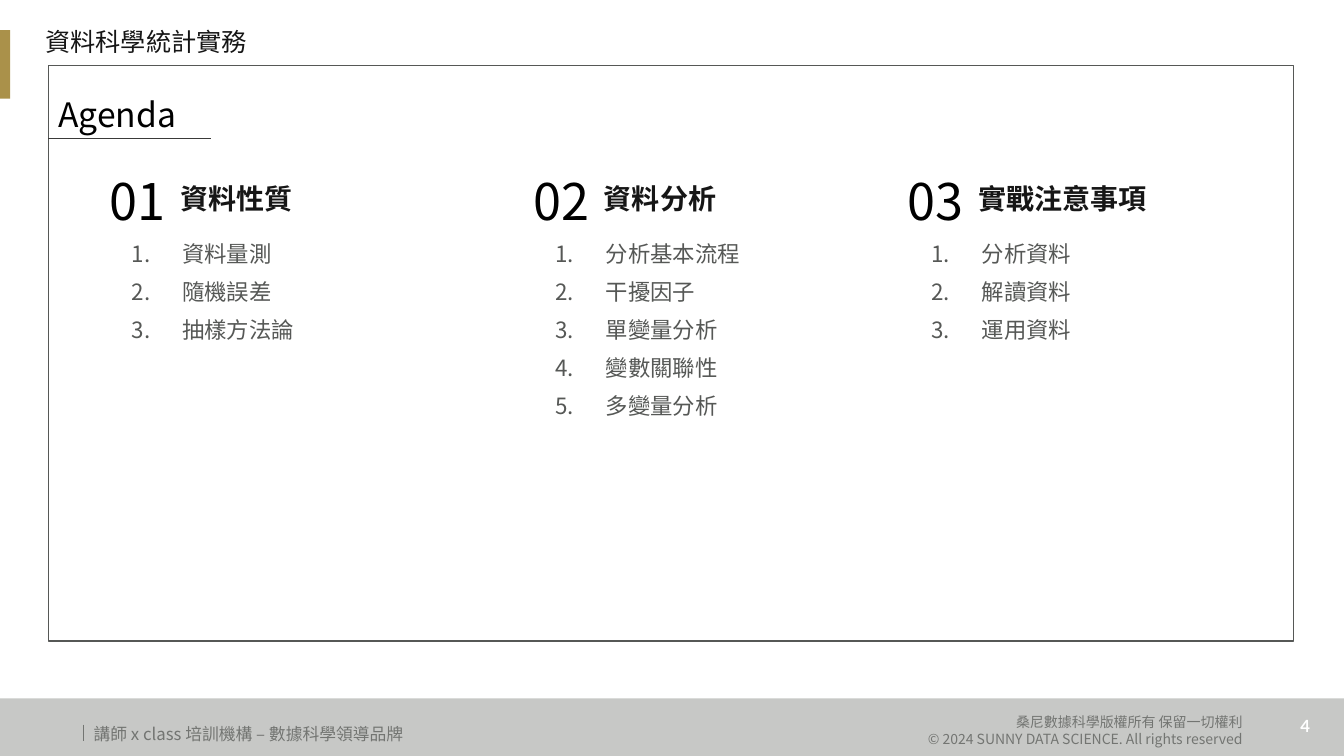
from lxml import etree
from pptx import Presentation
from pptx import util as u
from pptx.dml.color import RGBColor
from pptx.enum import shapes, text
from pptx.oxml import ns

SANS = "Noto Sans CJK SC"
INK, GREY, SOFT = "161616", "565856", "737572"
TOPICS = [
    (0.77, 1.21, 2.86, "資料性質", ["資料量測", "隨機誤差", "抽樣方法論"]),
    (4.97, 5.41, 4.42, "資料分析",
     ["分析基本流程", "干擾因子", "單變量分析", "變數關聯性", "多變量分析"]),
    (8.68, 9.14, 3.69, "實戰注意事項", ["分析資料", "解讀資料", "運用資料"]),
]


def paint(color, code):
    """Set a colour from a hex string."""
    color.rgb = RGBColor.from_string(code)


def box(slide, x, y, w, h, fill=None, edge=None):
    """Draw a rectangle with a fill or an outline."""
    rect = slide.shapes.add_shape(shapes.MSO_SHAPE.RECTANGLE, *map(u.Inches, (x, y, w, h)))
    rect.shadow.inherit = False
    if fill:
        rect.fill.solid()
        paint(rect.fill.fore_color, fill)
    else:
        rect.fill.background()
    if edge:
        paint(rect.line.color, edge)
        rect.line.width = u.Pt(1)
    else:
        rect.line.fill.background()


def rule(slide, x1, y1, x2, y2, code):
    """Draw a thin straight line."""
    line = slide.shapes.add_connector(
        shapes.MSO_CONNECTOR.STRAIGHT, *map(u.Inches, (x1, y1, x2, y2)))
    paint(line.line.color, code)
    line.line.width = u.Pt(0.5)
    etree.SubElement(line._element.spPr, ns.qn("a:effectLst"))


def number(para):
    """Number a paragraph automatically with a hanging indent."""
    props = para._p.get_or_add_pPr()
    props.set("marL", str(u.Inches(0.5)))
    props.set("indent", str(u.Inches(-0.5)))
    etree.SubElement(props, ns.qn("a:buFont"), typeface="+mj-lt")
    etree.SubElement(props, ns.qn("a:buAutoNum"), type="arabicPeriod")


def write(slide, x, y, w, h, lines, size, code, face=SANS, align="LEFT", mid=False,
          bold=False, wrap=True, pad=(0.1, 0.05), lead=None, gap=0, listed=False):
    """Add a text box with one paragraph per line."""
    frame = slide.shapes.add_textbox(*map(u.Inches, (x, y, w, h))).text_frame
    frame.word_wrap = wrap
    frame.margin_left = frame.margin_right = u.Inches(pad[0])
    frame.margin_top = frame.margin_bottom = u.Inches(pad[1])
    frame.vertical_anchor = text.MSO_ANCHOR.MIDDLE if mid else text.MSO_ANCHOR.TOP
    for i, words in enumerate(lines):
        para = frame.paragraphs[0] if i == 0 else frame.add_paragraph()
        run = para.add_run()
        run.text = words
        para.alignment = getattr(text.PP_ALIGN, align)
        if lead:
            para.line_spacing = lead
        if i and gap:
            para.space_before = u.Pt(gap)
        if listed:
            number(para)
        font = para.font
        font.size, font.bold, font.name = u.Pt(size), bold, face
        paint(font.color, code)
        etree.SubElement(run._r.get_or_add_rPr(), ns.qn("a:ea"), typeface=face)


def footer(slide):
    """Draw the grey band with its texts and the page number."""
    box(slide, 0, 6.93, 13.33, 0.57, fill="C7C8C6")
    rule(slide, 0.83, 7.19, 0.83, 7.35, SOFT)
    write(slide, 12.75, 7.05, 0.39, 0.3, ["4"], 12, "FFFFFF", face="Lato",
          align="CENTER", bold=True, wrap=False)
    write(slide, 7.68, 7.03, 4.74, 0.44,
          ["桑尼數據科學版權所有 保留一切權利",
           "© 2024 SUNNY DATA SCIENCE. All rights reserved"], 10, SOFT, align="RIGHT")
    write(slide, 0.83, 7.13, 4.74, 0.3, ["講師 x class 培訓機構 – 數據科學領導品牌"], 12, SOFT)


def topic(slide, index, left, inset, width, title, items):
    """Add one agenda column: number, title and numbered list."""
    write(slide, left, 1.75, 1.19, 0.48, [f"{index:02}"], 36, "000000",
          align="CENTER", mid=True)
    write(slide, left + 0.97, 1.61, 3.89, 0.76, [title], 20, INK, mid=True, bold=True,
          pad=(0.05, 0.03), lead=0.9)
    write(slide, inset, 2.36, width, 2.22, items, 16, GREY, lead=0.9, gap=10, listed=True)


def main():
    """Build the agenda slide."""
    deck = Presentation()
    deck.slide_width, deck.slide_height = u.Inches(13.33), u.Inches(7.5)
    slide = deck.slides.add_slide(deck.slide_layouts[6])
    footer(slide)
    box(slide, 0, 0.3, 0.1, 0.68, fill="AA914A")
    box(slide, 0.48, 0.65, 12.35, 5.71, edge=GREY)
    rule(slide, 0.48, 1.37, 2.09, 1.37, "3A3A39")
    write(slide, 0.48, 0.89, 5.39, 0.48, ["Agenda"], 24, "000000", mid=True)
    write(slide, 0.35, 0.21, 6.68, 0.4, ["資料科學統計實務"], 18, INK, face="Noto Sans CJK TC")
    for index, column in enumerate(TOPICS, 1):
        topic(slide, index, *column)
    deck.save("out.pptx")


if __name__ == "__main__":
    main()
